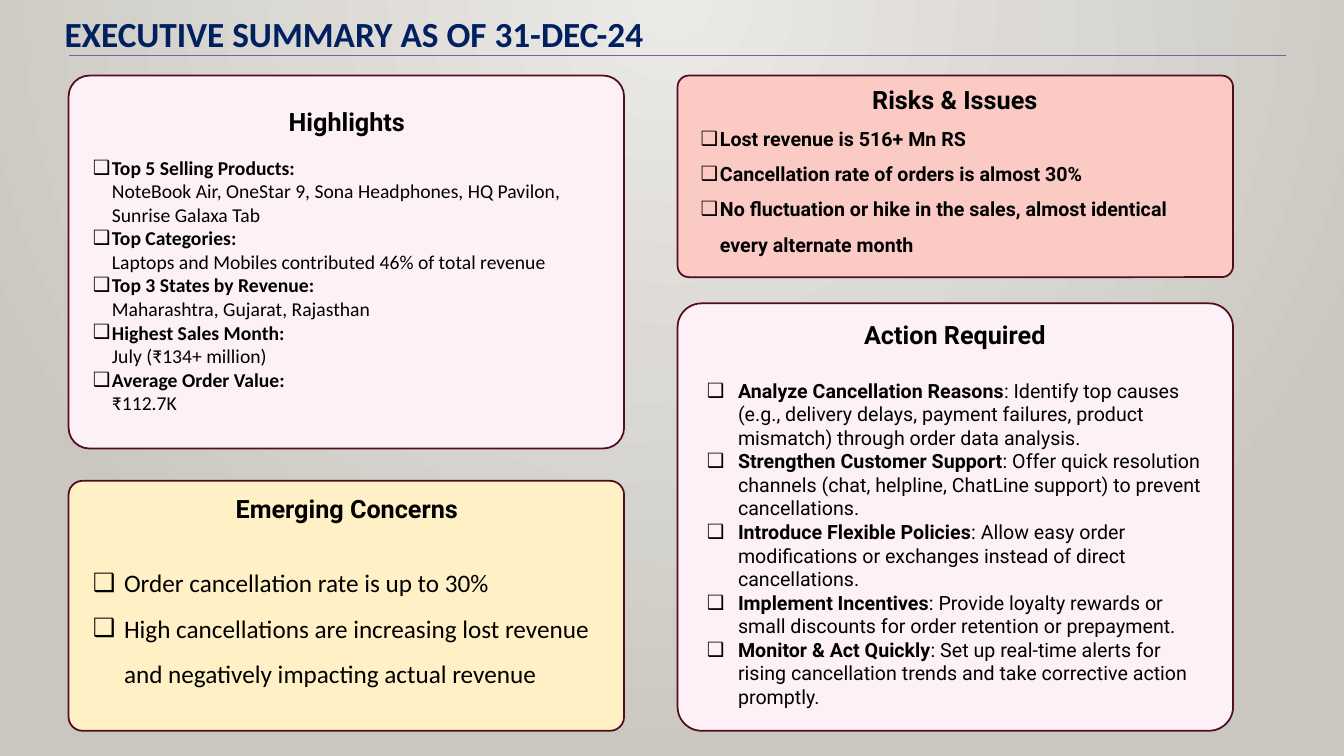
from lxml import etree
from pptx import Presentation
from pptx.dml.color import RGBColor
from pptx.enum.shapes import MSO_CONNECTOR, MSO_SHAPE
from pptx.enum.text import MSO_ANCHOR, MSO_AUTO_SIZE, PP_ALIGN
from pptx.oxml.ns import qn
from pptx.util import Inches, Pt

ROUND = MSO_SHAPE.ROUNDED_RECTANGLE
LINE = MSO_CONNECTOR.STRAIGHT
TOP, MIDDLE = MSO_ANCHOR.TOP, MSO_ANCHOR.MIDDLE
FIXED = MSO_AUTO_SIZE.NONE
LEFT, CENTER = PP_ALIGN.LEFT, PP_ALIGN.CENTER
PINK, ROSE, CREAM = "FDF1F7", "FBCAC5", "FFF1C5"
WINE, NAVY, BLACK = "500D1D", "002060", "000000"
LEFT_X, RIGHT_X, CARD_W = 0.68, 6.72, 5.51

HIGHLIGHTS = [
    ("Top 5 Selling Products:", "NoteBook Air, OneStar 9, Sona Headphones, HQ Pavilon, Sunrise Galaxa Tab"),
    ("Top Categories:", "Laptops and Mobiles contributed 46% of total revenue"),
    ("Top 3 States by Revenue:", "Maharashtra, Gujarat, Rajasthan"),
    ("Highest Sales Month:", "July (₹134+ million)"),
    ("Average Order Value:", "₹112.7K"),
]
RISKS = [
    ("Lost revenue is 516+ Mn RS", ""),
    ("Cancellation rate of orders is almost 30%", ""),
    ("No fluctuation or hike in the sales, almost identical every alternate month", ""),
]
CONCERNS = [
    ("", "Order cancellation rate is up to 30%"),
    ("", "High cancellations are increasing lost revenue and negatively impacting actual revenue"),
]
ACTIONS = [
    ("Analyze Cancellation Reasons", ": Identify top causes (e.g., delivery delays, payment failures, product mismatch) through order data analysis."),
    ("Strengthen Customer Support", ": Offer quick resolution channels (chat, helpline, ChatLine support) to prevent cancellations."),
    ("Introduce Flexible Policies", ": Allow easy order modifications or exchanges instead of direct cancellations."),
    ("Implement Incentives", ": Provide loyalty rewards or small discounts for order retention or prepayment."),
    ("Monitor & Act Quickly", ": Set up real-time alerts for rising cancellation trends and take corrective action promptly."),
]


def color(code):
    return RGBColor.from_string(code)


def place(shape, box):
    shape.left, shape.top, shape.width, shape.height = map(Inches, box)


def add_run(para, text, size, font, bold, tint=BLACK):
    run = para.add_run()
    run.text = text
    run.font.size = Pt(size)
    run.font.name = font
    run.font.bold = bold
    run.font.color.rgb = color(tint)


def set_para(para, align, space=1.0, after=0):
    para.alignment = align
    para.line_spacing = space
    para.space_before = Pt(0)
    para.space_after = Pt(after)


def set_frame(shape, anchor, side, edge):
    frame = shape.text_frame
    frame.word_wrap = True
    frame.auto_size = FIXED
    frame.vertical_anchor = anchor
    frame.margin_left = frame.margin_right = Inches(side)
    frame.margin_top = frame.margin_bottom = Inches(edge)
    return frame


def add_bullet(para, indent):
    props = para._p.get_or_add_pPr()
    props.set("marL", str(Inches(indent)))
    props.set("indent", str(-Inches(indent)))
    etree.SubElement(props, qn("a:buChar")).set("char", "❑")


def paint_back(slide):
    fill = slide.background.fill
    fill.gradient()
    for stop, code in zip(fill.gradient_stops, ("ECEAE7", "CAC7C1")):
        stop.color.rgb = color(code)
    grad = slide._element.find(".//" + qn("a:gradFill"))
    grad.remove(grad.find(qn("a:lin")))
    glow = etree.SubElement(grad, qn("a:path"))
    glow.set("path", "circle")
    rect = etree.SubElement(glow, qn("a:fillToRect"))
    for side, share in zip("ltrb", (43, 0, 43, 100)):
        rect.set(side, str(share * 1000))


def add_header(slide, box):
    left, top, width, height = box
    title = slide.shapes.title
    place(title, box)
    para = set_frame(title, TOP, 0.1, 0.1).paragraphs[0]
    set_para(para, LEFT)
    add_run(para, "EXECUTIVE SUMMARY AS OF 31-DEC-24", 25.2, "Calibri", True, NAVY)
    y = Inches(top + 0.53)
    rule = slide.shapes.add_connector(LINE, Inches(left + 0.14), y, Inches(left + 12.21), y)
    rule.line.color.rgb = color("795FAF")
    rule.line.width = Pt(0.75)
    etree.SubElement(rule._element.spPr, qn("a:effectLst"))


def add_card(slide, body, box, fill, inset, head, items, font="Roboto", size=14,
             indent=0.19, space=1.0, gap=0, split=False, anchor=TOP):
    left, top, width, height = box
    card = slide.shapes.add_shape(ROUND, *map(Inches, box))
    card.adjustments[0] = 0.056
    card.shadow.inherit = False
    card.fill.solid()
    card.fill.fore_color.rgb = color(fill)
    card.line.color.rgb = color(WINE)
    card.line.width = Pt(1.25)

    dx, dy, wide, high = inset
    place(body, (left + dx, top + dy, wide, high))
    slide.shapes._spTree.append(body._element)
    frame = set_frame(body, anchor, 0.1, 0.05)
    para = frame.paragraphs[0]
    set_para(para, CENTER, after=gap)
    add_bare(para)
    add_run(para, head, 18, "Roboto", True)
    for label, text in items:
        para = frame.add_paragraph()
        set_para(para, LEFT, space)
        add_bullet(para, indent)
        if label:
            add_run(para, label, size, font, True)
        if split:
            para.add_line_break()
        if text:
            add_run(para, text, size, font, False)


def add_bare(para):
    props = para._p.get_or_add_pPr()
    props.set("marL", "0")
    props.set("indent", "0")
    etree.SubElement(props, qn("a:buNone"))


def main():
    deck = Presentation()
    deck.slide_width, deck.slide_height = Inches(13.33), Inches(7.5)
    slide = deck.slides.add_slide(deck.slide_layouts[4])
    paint_back(slide)
    add_header(slide, (0.54, 0.02, 12.79, 0.65))
    high, risk, worry, act = list(slide.placeholders)[1:]
    add_card(slide, high, (LEFT_X, 0.75, CARD_W, 3.7), PINK, (0.14, 0.25, 5.24, 3.2),
             "Highlights", HIGHLIGHTS, font="Calibri", gap=14, split=True)
    add_card(slide, risk, (RIGHT_X, 0.75, CARD_W, 2), ROSE, (0.13, 0.04, 5.24, 1.78),
             "Risks & Issues", RISKS, space=1.5)
    add_card(slide, worry, (LEFT_X, 4.77, CARD_W, 2.48), CREAM, (0.14, 0.07, 5.24, 2.02),
             "Emerging Concerns", CONCERNS, font="Calibri", size=18, indent=0.31,
             space=1.5, gap=21)
    add_card(slide, act, (RIGHT_X, 3.01, CARD_W, 4.24), PINK, (0.19, 0.08, 5.12, 4.01),
             "Action Required", ACTIONS, indent=0.31, gap=21, anchor=MIDDLE)
    deck.save("out.pptx")


if __name__ == "__main__":
    main()
